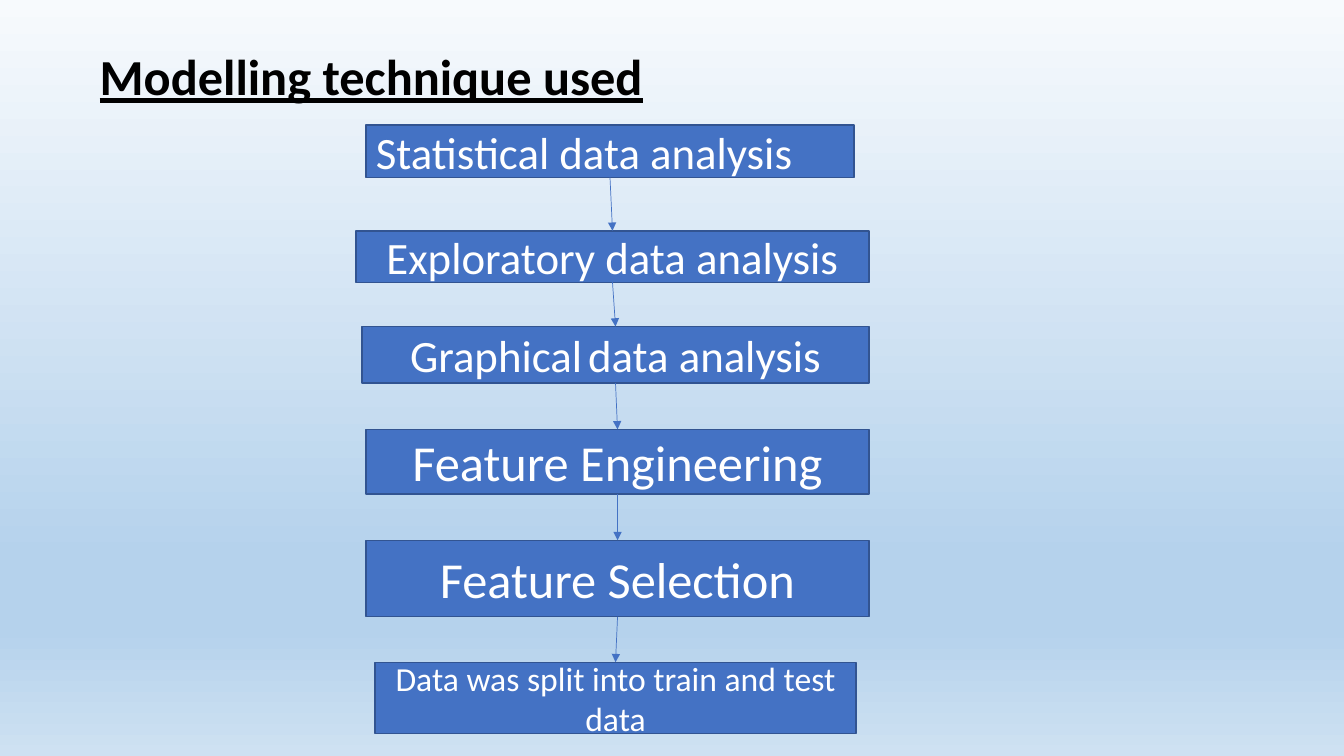
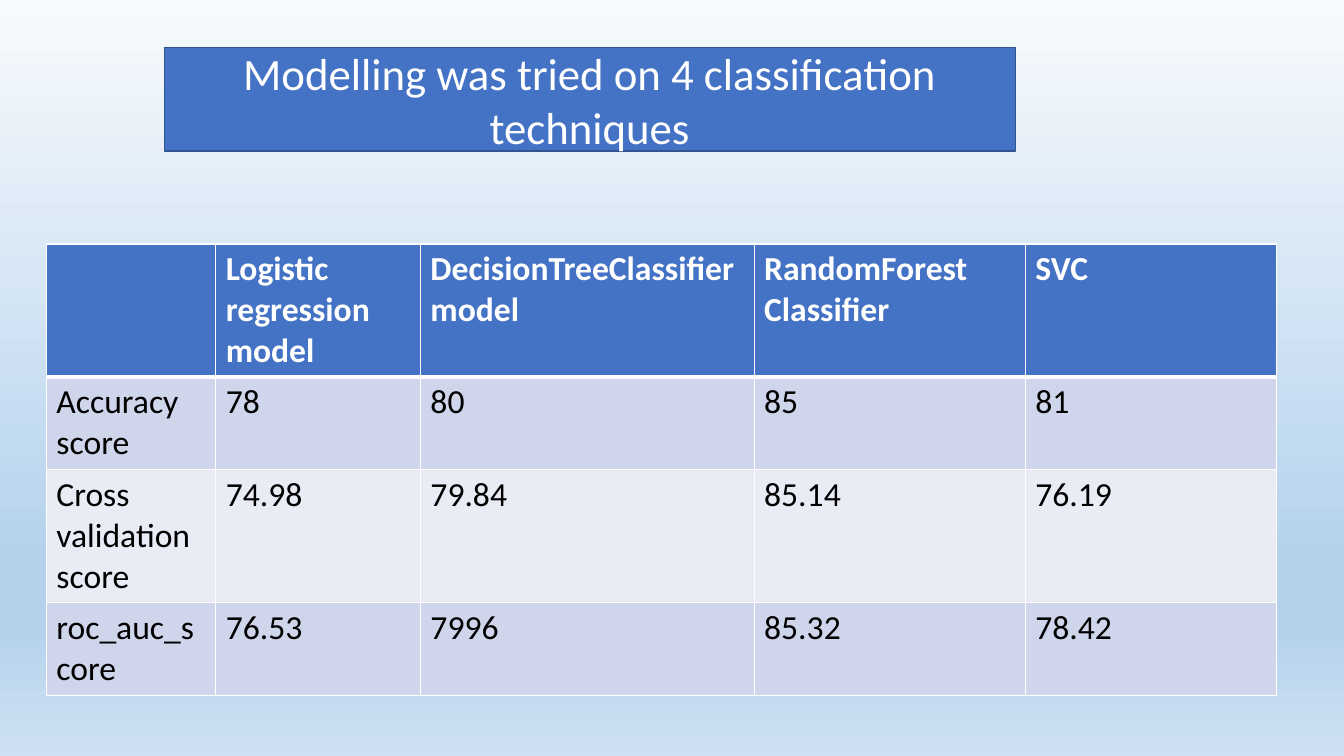
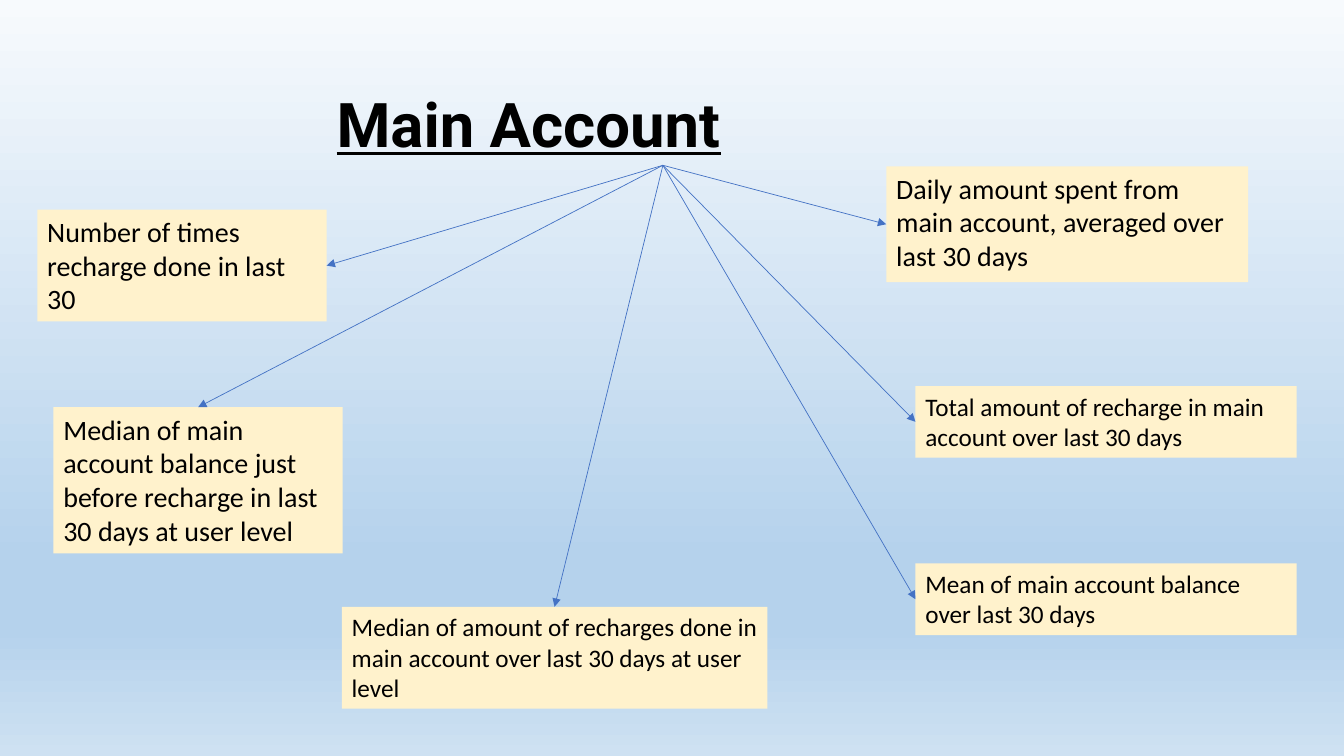
from dataclasses import dataclass

from lxml.etree import SubElement
from pptx import Presentation
from pptx.dml.color import RGBColor
from pptx.enum.shapes import MSO_CONNECTOR, MSO_SHAPE
from pptx.enum.text import MSO_ANCHOR, MSO_AUTO_SIZE, PP_ALIGN
from pptx.oxml.ns import qn
from pptx.util import Inches, Pt

TOP, LEFT, BOTTOM = 0, 1, 2
RIGHT = 3


@dataclass(frozen=True)
class Theme:
    """Colours, fonts and type sizes."""

    blue: str = "4472C4"
    edge: str = "325491"
    cream: str = "FFF2CC"
    white: str = "FFFFFF"
    black: str = "000000"
    bands: tuple = ("E9EBF5", "CFD5EA")
    sky: tuple = ((0, "F7FAFD"), (74, "B5D2EC"), (83, "B5D2EC"), (100, "CEE1F2"))
    body: str = "Calibri"
    head: str = "Roboto"
    huge: int = 44
    large: int = 36
    big: int = 32
    mid: int = 24
    note: int = 20
    small: int = 18


class Deck:
    """Holds the style and the current slide."""

    def __init__(self, theme):
        self.theme = theme
        self.show = Presentation()
        self.show.slide_width = Inches(13.33)
        self.show.slide_height = Inches(7.5)
        self.slide = None
        self.paint()

    def paint(self):
        """Give the master its gradient."""
        master = self.show.slide_master
        fill = master.background.fill
        fill.gradient()
        fill.gradient_angle = 270
        stops = next(master.element.iter(qn("a:gsLst")))
        for stop in list(stops):
            stops.remove(stop)
        for place, tone in self.theme.sky:
            stop = SubElement(stops, qn("a:gs"), pos=str(place * 1000))
            SubElement(stop, qn("a:srgbClr"), val=tone)

    def page(self):
        """Start a blank slide."""
        self.slide = self.show.slides.add_slide(self.show.slide_layouts[6])

    def style(self, para, size, tone, face=None, bold=False, align=PP_ALIGN.LEFT):
        """Set the font of a paragraph."""
        para.alignment = align
        font = para.font
        font.name = face or self.theme.body
        font.size = Pt(size)
        font.bold = bold
        font.color.rgb = RGBColor.from_string(tone)
        return font

    def title(self, at, text, size, face=None):
        """Add an underlined title."""
        shape = self.slide.shapes.add_textbox(*map(Inches, at))
        frame = shape.text_frame
        frame.word_wrap = True
        frame.auto_size = MSO_AUTO_SIZE.SHAPE_TO_FIT_TEXT
        frame.text = text
        font = self.style(frame.paragraphs[0], size, self.theme.black, face, True)
        font.underline = True
        return shape

    def block(self, at, fill):
        """Add a plain rectangle."""
        shape = self.slide.shapes.add_shape(MSO_SHAPE.RECTANGLE, *map(Inches, at))
        shape.shadow.inherit = False
        shape.fill.solid()
        shape.fill.fore_color.rgb = RGBColor.from_string(fill)
        shape.text_frame.word_wrap = True
        return shape

    def step(self, at, text, size, align=PP_ALIGN.CENTER):
        """Add a blue box with white text."""
        shape = self.block(at, self.theme.blue)
        shape.line.color.rgb = RGBColor.from_string(self.theme.edge)
        shape.line.width = Pt(1)
        frame = shape.text_frame
        frame.vertical_anchor = MSO_ANCHOR.MIDDLE
        frame.text = text
        self.style(frame.paragraphs[0], size, self.theme.white, align=align)
        return shape

    def note(self, at, text, size):
        """Add a cream box with black text."""
        shape = self.block(at, self.theme.cream)
        shape.line.fill.background()
        frame = shape.text_frame
        frame.vertical_anchor = MSO_ANCHOR.TOP
        frame.text = text
        self.style(frame.paragraphs[0], size, self.theme.black)
        return shape

    def arrow(self, start, end, side=TOP):
        """Join the bottom of one shape to a side of the next."""
        link = self.slide.shapes.add_connector(MSO_CONNECTOR.STRAIGHT, 0, 0, 0, 0)
        link.begin_connect(start, BOTTOM)
        link.end_connect(end, side)
        link.line.color.rgb = RGBColor.from_string(self.theme.blue)
        link.line.width = Pt(0.5)
        SubElement(link.line._get_or_add_ln(), qn("a:tailEnd"), type="triangle")
        SubElement(link._element.spPr, qn("a:effectLst"))

    def cell(self, cell, row, text):
        """Fill, border and write one table cell."""
        theme = self.theme
        first = row == 0
        thick = {"lnT": 3 if row == 1 else 1, "lnB": 3 if first else 1}
        props = cell._tc.get_or_add_tcPr()
        for name in ("lnL", "lnR", "lnT", "lnB"):
            width = Pt(thick.get(name, 1))
            line = SubElement(props, qn(f"a:{name}"), w=str(width))
            SubElement(SubElement(line, qn("a:solidFill")), qn("a:srgbClr"), val=theme.white)
        cell.fill.solid()
        fill = theme.blue if first else theme.bands[row % 2]
        cell.fill.fore_color.rgb = RGBColor.from_string(fill)
        cell.text = text
        tone = theme.white if first else theme.black
        self.style(cell.text_frame.paragraphs[0], theme.mid, tone, bold=first)

    def table(self, left, top, wide, high, rows):
        """Add a banded table."""
        size = map(Inches, (left, top, sum(wide), sum(high)))
        grid = self.slide.shapes.add_table(len(high), len(wide), *size).table
        for col, width in zip(grid.columns, wide):
            col.width = Inches(width)
        for row, height in zip(grid.rows, high):
            row.height = Inches(height)
        for row, texts in enumerate(rows):
            for col, text in enumerate(texts):
                self.cell(grid.cell(row, col), row, text)


def flow(deck):
    """Draw the modelling steps."""
    theme = deck.theme
    deck.page()
    deck.title((0.89, 0.4, 6.38, 0.71), "Modelling technique used", theme.large)
    steps = [
        deck.step((3.63, 1.24, 4.84, 0.52), "Statistical data analysis", theme.big, PP_ALIGN.LEFT),
        deck.step((3.53, 2.29, 5.09, 0.51), "Exploratory data analysis", theme.big),
        deck.step((3.59, 3.24, 5.03, 0.56), "Graphical", theme.big),
        deck.step((3.63, 4.26, 4.99, 0.64), "Feature Engineering", theme.large),
        deck.step((3.63, 5.36, 4.99, 0.76), "Feature Selection", theme.large),
        deck.step((3.72, 6.57, 4.77, 0.71), "Data was split into train and test data", theme.mid),
    ]
    para = steps[2].text_frame.paragraphs[0]
    space = para.add_run()
    space.text = " "
    space.font.size = Pt(theme.small)
    para.add_run().text = "data analysis"
    for start, end in zip(steps, steps[1:]):
        deck.arrow(start, end)


def scores(deck):
    """Draw the table of model scores."""
    deck.page()
    text = "Modelling was tried on 4 classification techniques"
    deck.step((1.63, 0.47, 8.44, 1.03), text, deck.theme.big)
    rows = (
        ("", "Logistic regression model", "DecisionTreeClassifier model",
         "RandomForest Classifier", "SVC"),
        ("Accuracy score", "78", "80", "85", "81"),
        ("Cross validation score", "74.98", "79.84", "85.14", "76.19"),
        ("roc_auc_score", "76.53", "7996", "85.32", "78.42"),
    )
    wide = (1.68, 2.03, 3.31, 2.69, 2.49)
    deck.table(0.46, 2.42, wide, (1.32, 0.92, 1.32, 0.92), rows)


def account(deck):
    """Draw the main account features."""
    theme = deck.theme
    deck.page()
    head = deck.title((3.24, 0.8, 6.67, 0.84), "Main Account", theme.huge, theme.head)
    notes = (
        ((0.37, 2.08, 2.87, 1.11), "Number of times recharge done in last 30",
         theme.note, RIGHT),
        ((0.53, 4.04, 2.87, 1.45),
         "Median of main account balance just before recharge in last 30 days at user level",
         theme.note, TOP),
        ((8.79, 1.65, 3.59, 1.15),
         "Daily amount spent from main account, averaged over last 30 days",
         theme.note, LEFT),
        ((9.08, 5.59, 3.78, 0.71), "Mean of main account balance over last 30 days",
         theme.small, LEFT),
        ((9.08, 3.83, 3.78, 0.71),
         "Total amount of recharge in main account over last 30 days",
         theme.small, LEFT),
        ((3.39, 6.02, 4.22, 1.01),
         "Median of amount of recharges done in main account over last 30 days at user level",
         theme.small, TOP),
    )
    for at, text, size, side in notes:
        deck.arrow(head, deck.note(at, text, size), side)


def main():
    """Build and save the slides."""
    deck = Deck(Theme())
    flow(deck)
    scores(deck)
    account(deck)
    deck.show.save("out.pptx")


if __name__ == "__main__":
    main()
